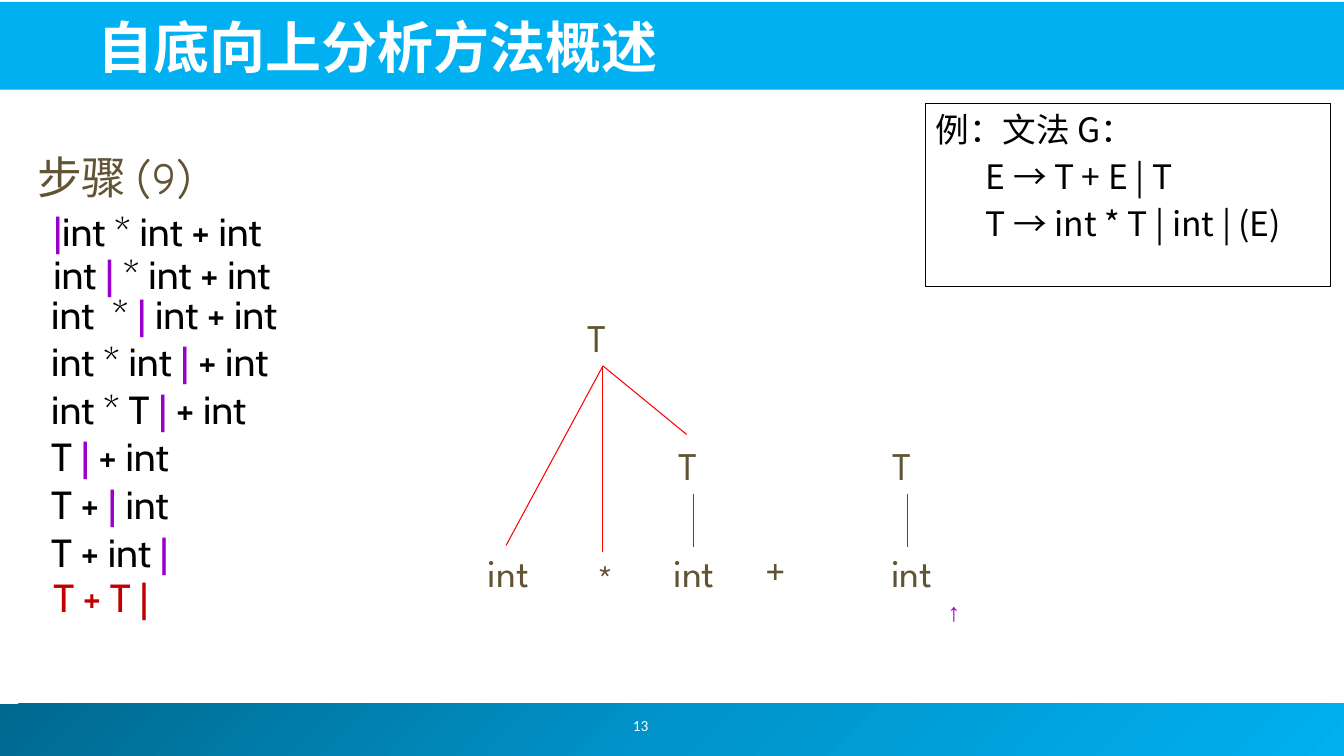
from lxml import etree
from pptx import Presentation
from pptx.dml.color import RGBColor
from pptx.enum.shapes import MSO_CONNECTOR, MSO_SHAPE
from pptx.enum.text import MSO_ANCHOR, PP_ALIGN
from pptx.oxml import parse_xml
from pptx.oxml.ns import nsdecls, qn
from pptx.util import Inches, Pt

STRAIGHT, RECTANGLE = MSO_CONNECTOR.STRAIGHT, MSO_SHAPE.RECTANGLE
TOP, MIDDLE, BOTTOM = MSO_ANCHOR.TOP, MSO_ANCHOR.MIDDLE, MSO_ANCHOR.BOTTOM
LEFT, CENTER = PP_ALIGN.LEFT, PP_ALIGN.CENTER
BOTTOM_SIDE = 2

COLORS = {"sky": "00B0F0", "mid": "0094CA", "deep": "00688E", "white": "FFFFFF",
          "black": "000000", "olive": "605435", "purple": "9900CC",
          "current": "C00000", "edge": "FF0000"}
CJK = "Noto Sans CJK JP"

TITLE = "自底向上分析方法概述"
HEADING = "步骤 (9)"
PAGE_NUMBER = "13"
GRAMMAR = ["例：文法 G：", "E → T + E | T", "T → int * T | int | (E)"]
# left, top, text; the bar marks the reading position
STEPS = [
    (0.43, 2.01, "|int * int + int"),
    (0.43, 2.43, "int | * int + int"),
    (0.41, 2.83, "int  * | int + int"),
    (0.41, 3.30, "int * int | + int"),
    (0.41, 3.77, "int * T | + int"),
    (0.41, 4.24, "T | + int"),
    (0.41, 4.72, "T + | int"),
    (0.41, 5.19, "T + int |"),
]
CURRENT_STEP = (0.43, 5.64, "T + T |")
# name: left, top, width, text
NODES = {
    "root": (5.73, 3.06, 0.5, "T"),
    "left T": (6.63, 4.33, 0.5, "T"),
    "right T": (8.75, 4.33, 0.5, "T"),
    "first int": (4.74, 5.39, 0.75, "int"),
    "star": (5.83, 5.45, 0.5, "*"),
    "second int": (6.58, 5.39, 0.67, "int"),
    "plus": (7.49, 5.37, 0.5, "+"),
    "third int": (8.74, 5.39, 0.67, "int"),
}
# parent node, lower end of the edge
EDGES = [("root", 5.02, 5.41), ("root", 5.98, 5.48), ("root", 6.81, 4.31),
         ("left T", 6.88, 5.43), ("right T", 9.0, 5.43)]


def rgb(name):
    return RGBColor.from_string(COLORS[name])


def inches(*lengths):
    return [Inches(length) for length in lengths]


def add_span(para, text, size, font, color, bold=None):
    span = para.add_run()
    span.text = text
    span.font.size, span.font.name, span.font.bold = Pt(size), font, bold
    span.font.color.rgb = rgb(color)
    east_asian = etree.SubElement(span._r.get_or_add_rPr(), qn("a:ea"))
    east_asian.set("typeface", CJK)


def space_before(para, percent):
    """Set the gap above a paragraph as a share of its line."""
    properties = para._p.get_or_add_pPr()
    properties.insert(0, parse_xml(
        f'<a:spcBef {nsdecls("a")}><a:spcPct val="{percent * 1000}"/></a:spcBef>'))


def add_text(page, place, spans, size, font, before=0, anchor=TOP, align=LEFT):
    box = page.shapes.add_textbox(*inches(*place))
    frame = box.text_frame
    frame.word_wrap, frame.vertical_anchor = True, anchor
    para = frame.paragraphs[0]
    para.alignment = align
    if before:
        space_before(para, before)
    for text, color in spans:
        add_span(para, text, size, font, color)
    return box


def add_rectangle(page, *place):
    shape = page.shapes.add_shape(RECTANGLE, *inches(*place))
    shape.shadow.inherit = False
    shape.line.fill.background()
    return shape


def add_bands(page):
    footer = add_rectangle(page, -0.05, 6.98, 13.39, 0.52)
    stops = "".join(f'<a:gs pos="{pos}"><a:srgbClr val="{COLORS[name]}"/></a:gs>'
                    for pos, name in ((0, "deep"), (50000, "mid"), (100000, "sky")))
    footer._element.spPr.find(qn("a:prstGeom")).addnext(parse_xml(
        f'<a:gradFill {nsdecls("a")} rotWithShape="1"><a:gsLst>{stops}</a:gsLst>'
        '<a:lin ang="2700000" scaled="1"/></a:gradFill>'))
    header = add_rectangle(page, -0.02, 0.02, 13.36, 0.87)
    header.fill.solid()
    header.fill.fore_color.rgb = rgb("sky")
    for band in (footer, header):
        page.shapes.title._element.addprevious(band._element)


def add_title(page):
    title = page.shapes.title
    title.left, title.top, title.width, title.height = inches(0.87, 0.05, 12.06, 0.79)
    title.text_frame.vertical_anchor = BOTTOM
    para = title.text_frame.paragraphs[0]
    para.alignment = LEFT
    add_span(para, TITLE, 40, CJK, "white", True)


def add_steps(page):
    for left, top, text in STEPS:
        done, bar, rest = text.partition("|")
        spans = [(done, "black"), (bar, "purple"), (rest, "black")]
        add_text(page, (left, top, 3.25, 0.5), [span for span in spans if span[0]],
                 28, "Cabin", 20)
    left, top, text = CURRENT_STEP
    add_text(page, (left, top, 3.25, 0.5), [(text, "current")], 28, "Cabin", 20)


def add_tree(page):
    boxes = {name: add_text(page, (left, top, width, 0.57), [(text, "olive")],
                            28, "League Spartan", 50)
             for name, (left, top, width, text) in NODES.items()}
    for parent, x, y in EDGES:
        edge = page.shapes.add_connector(STRAIGHT, 0, 0, *inches(x, y))
        edge.begin_connect(boxes[parent], BOTTOM_SIDE)
        edge.line.color.rgb, edge.line.width = rgb("edge"), Pt(0.75)
        etree.SubElement(edge._element.spPr, qn("a:effectLst"))
    add_text(page, (9.3, 5.87, 0.58, 0.5), [("↑", "purple")], 18, "Times New Roman", 50)


def add_grammar(page):
    box = add_rectangle(page, 9.18, 1.03, 4.02, 1.81)
    box.fill.background()
    box.line.color.rgb, box.line.width = rgb("black"), Pt(0.75)
    frame = box.text_frame
    frame.word_wrap, frame.vertical_anchor = True, TOP
    for index, text in enumerate(GRAMMAR):
        para = frame.add_paragraph() if index else frame.paragraphs[0]
        para.alignment, para.level = LEFT, min(index, 1)
        margin, indent = (0.81, -0.31) if index else (0.38, -0.38)
        properties = para._p.get_or_add_pPr()
        properties.set("marL", str(Inches(margin)))
        properties.set("indent", str(Inches(indent)))
        space_before(para, 20)
        add_span(para, text, 24, CJK, "black")


def main():
    deck = Presentation()
    deck.slide_width, deck.slide_height = inches(13.33, 7.5)
    page = deck.slides.add_slide(deck.slide_layouts[5])
    add_bands(page)
    add_title(page)
    add_text(page, (4.91, 6.95, 2.89, 0.5), [(PAGE_NUMBER, "white")], 11, "Calibri",
             anchor=MIDDLE, align=CENTER)
    add_text(page, (0.27, 1.25, 2.21, 1), [(HEADING, "olive")], 32, "Comic Neue",
             anchor=MIDDLE)
    add_steps(page)
    add_tree(page)
    add_grammar(page)
    deck.save("out.pptx")


if __name__ == "__main__":
    main()
